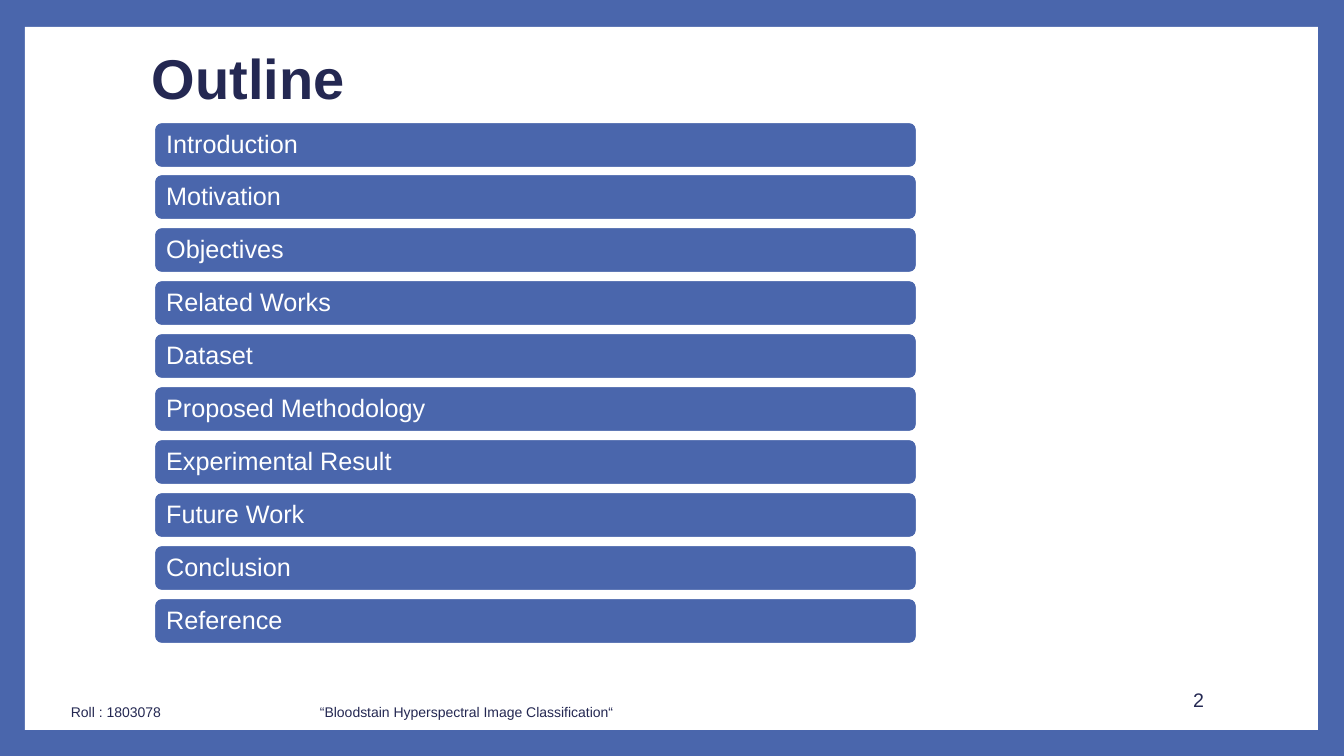
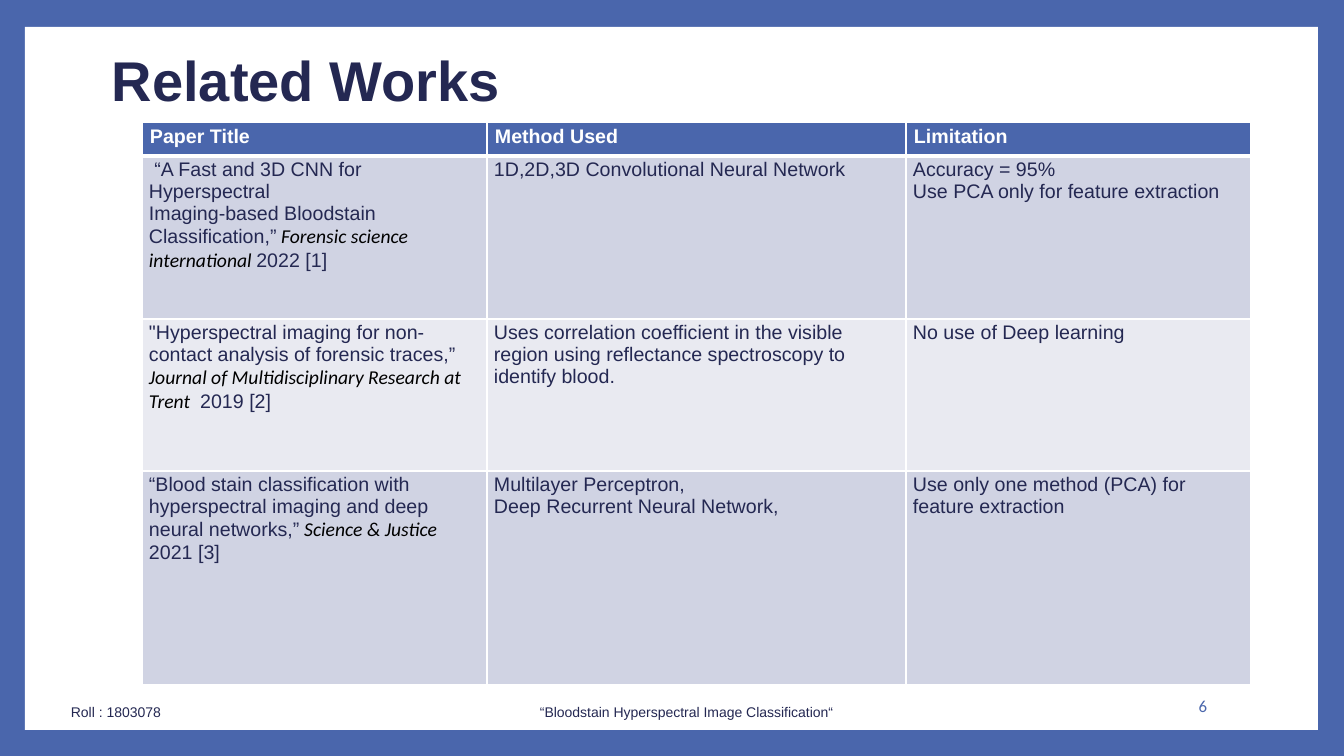
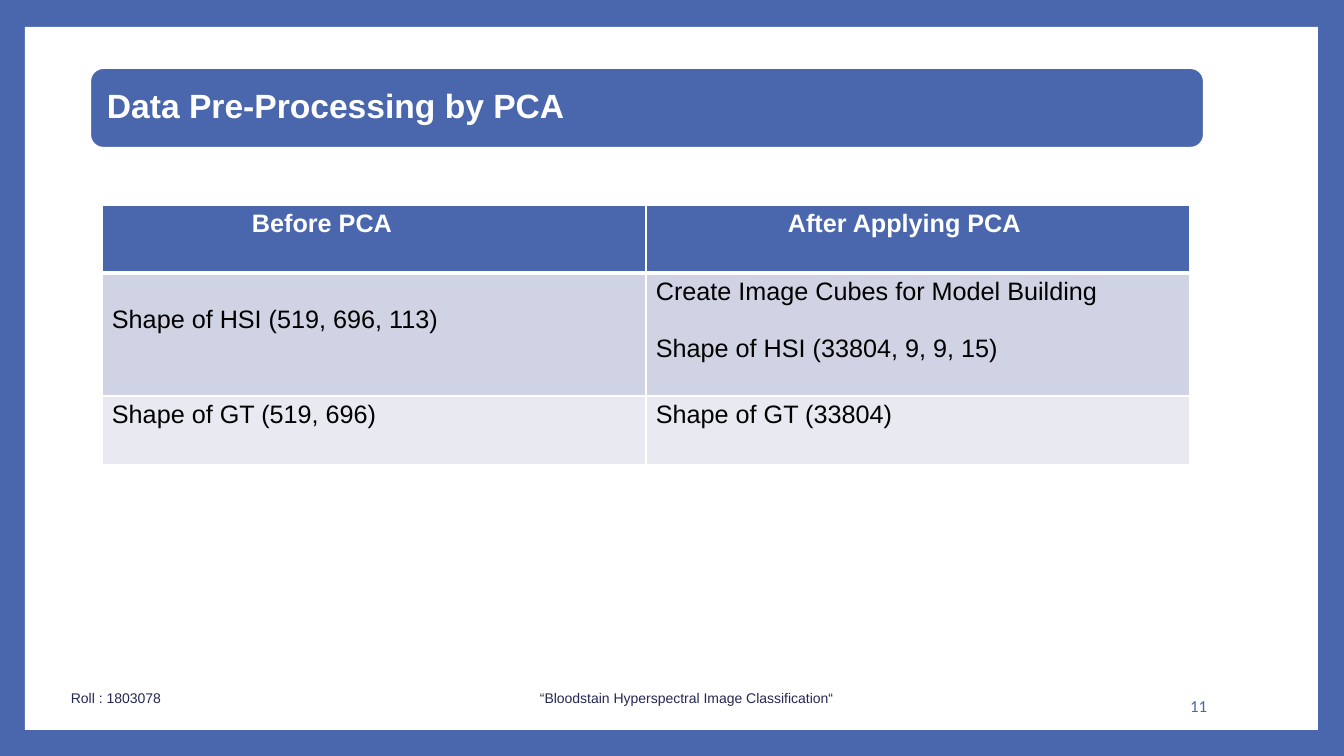
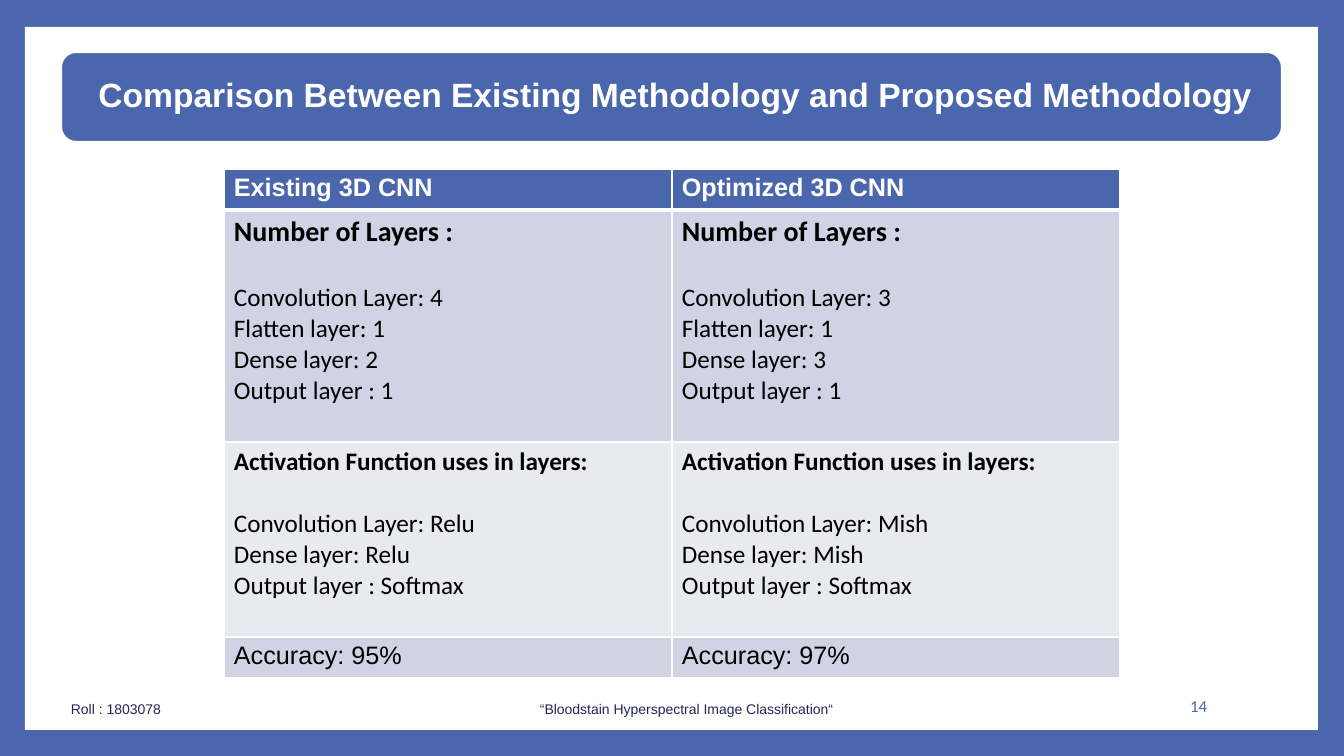
from dataclasses import dataclass

from lxml import etree
from pptx import Presentation
from pptx.dml.color import RGBColor
from pptx.enum.shapes import MSO_SHAPE
from pptx.enum.text import MSO_ANCHOR, PP_ALIGN
from pptx.oxml.ns import qn
from pptx.util import Emu, Pt

RECTANGLE = MSO_SHAPE.RECTANGLE
ROUNDED = MSO_SHAPE.ROUNDED_RECTANGLE
TOP, MIDDLE = MSO_ANCHOR.TOP, MSO_ANCHOR.MIDDLE
LEFT, RIGHT = PP_ALIGN.LEFT, PP_ALIGN.RIGHT

SLIDE_WIDTH, SLIDE_HEIGHT = 1344, 756
EMU_PER_PX = 12192000 / SLIDE_WIDTH


def px(length):
    return Emu(round(length * EMU_PER_PX))


@dataclass(frozen=True)
class TextStyle:
    size: int
    color: str
    font: str = "Arial"
    bold: bool = False
    italic: bool = False


@dataclass(frozen=True)
class Theme:
    accent: str = "4A66AC"
    white: str = "FFFFFF"
    bands: tuple = ("D0D3E3", "E9EAF1")
    title: TextStyle = TextStyle(40, "242852", bold=True)
    banner: TextStyle = TextStyle(24, "FFFFFF", bold=True)
    item: TextStyle = TextStyle(18, "FFFFFF")
    footer: TextStyle = TextStyle(10, "242852")
    number: TextStyle = TextStyle(12, "4A66AC", "Calibri")
    large_number: TextStyle = TextStyle(14, "242852")
    small_header: TextStyle = TextStyle(14, "FFFFFF", bold=True)
    small_body: TextStyle = TextStyle(14, "242852")
    journal: TextStyle = TextStyle(14, "000000", "Calibri", italic=True)
    header: TextStyle = TextStyle(18, "FFFFFF", bold=True)
    body: TextStyle = TextStyle(18, "000000")
    layer: TextStyle = TextStyle(18, "000000", "Calibri")
    layer_heading: TextStyle = TextStyle(18, "000000", "Calibri", bold=True)
    large_heading: TextStyle = TextStyle(20, "000000", "Calibri", bold=True)


@dataclass
class Line:
    runs: list
    space_after: int = 0


@dataclass
class Cell:
    lines: list
    left: int = 0
    top: int = 0


THEME = Theme()


class Deck:
    def __init__(self, theme):
        self.theme = theme
        self.presentation = Presentation()
        self.presentation.slide_width = px(SLIDE_WIDTH)
        self.presentation.slide_height = px(SLIDE_HEIGHT)
        self.slide = None

    def start_slide(self):
        self.slide = self.presentation.slides.add_slide(self.presentation.slide_layouts[6])
        self.paint(self.slide.background.fill, self.theme.accent)
        self.box(RECTANGLE, 25, 27, 1293, 703, self.theme.white)

    def paint(self, fill, color):
        fill.solid()
        fill.fore_color.rgb = RGBColor.from_string(color)

    def format_run(self, run, style):
        font = run.font
        font.size = Pt(style.size)
        font.name = style.font
        font.bold = style.bold
        font.italic = style.italic
        font.color.rgb = RGBColor.from_string(style.color)

    def set_text(self, text_frame, text, style, align=LEFT, anchor=MIDDLE, spacing=0.9):
        text_frame.word_wrap = True
        text_frame.vertical_anchor = anchor
        text_frame.text = text
        paragraph = text_frame.paragraphs[0]
        paragraph.alignment = align
        paragraph.line_spacing = spacing
        self.format_run(paragraph.runs[0], style)

    def box(self, kind, left, top, width, height, color):
        shape = self.slide.shapes.add_shape(kind, px(left), px(top), px(width), px(height))
        shape.shadow.inherit = False
        self.paint(shape.fill, color)
        shape.line.fill.background()
        return shape

    def text(self, left, top, width, height, text, style, **layout):
        shape = self.slide.shapes.add_textbox(px(left), px(top), px(width), px(height))
        self.set_text(shape.text_frame, text, style, **layout)

    def title(self, left, top, width, height, text):
        self.text(left, top, width, height, text, self.theme.title)

    def banner(self, left, top, width, height, text, style, inset):
        shape = self.box(ROUNDED, left, top, width, height, self.theme.accent)
        shape.line.color.rgb = RGBColor.from_string(self.theme.white)
        shape.line.width = Pt(1.5)
        text_frame = shape.text_frame
        text_frame.margin_left = px(inset)
        text_frame.margin_top = text_frame.margin_bottom = px(5)
        self.set_text(text_frame, text, style)

    def footer(self, top=700, topic_left=530):
        for left, width, text in (
            (61, 200, "Roll : 1803078"),
            (topic_left, 400, "“Bloodstain Hyperspectral Image Classification“"),
        ):
            self.text(left, top, width, 30, text, self.theme.footer, anchor=TOP)

    def page_number(self, number, style=None, right=1217, top=686):
        style = style or self.theme.number
        self.text(right - 108, top, 108, 40, str(number), style, align=RIGHT, spacing=1)

    def border(self, cell, side, width):
        properties = cell._tc.get_or_add_tcPr()
        line = etree.SubElement(properties, qn(f"a:ln{side}"), w=str(Pt(width)))
        fill = etree.SubElement(line, qn("a:solidFill"))
        etree.SubElement(fill, qn("a:srgbClr"), val=self.theme.white)

    def fill_cell(self, cell, content, style, insets):
        if isinstance(content, str):
            content = Cell([content])
        side_inset, end_inset = insets
        cell.margin_left = px(content.left or side_inset)
        cell.margin_right = px(side_inset)
        cell.margin_top = px(content.top or end_inset)
        cell.margin_bottom = px(end_inset)
        text_frame = cell.text_frame
        for index, line in enumerate(content.lines):
            if isinstance(line, str):
                line = Line([(line, style)])
            paragraph = text_frame.add_paragraph() if index else text_frame.paragraphs[0]
            paragraph.space_after = Pt(line.space_after)
            for text, run_style in line.runs:
                run = paragraph.add_run()
                run.text = text
                self.format_run(run, run_style)

    def table(self, left, top, widths, heights, rows, header, body, insets=((10, 5), (10, 5))):
        table = self.slide.shapes.add_table(
            len(rows), len(widths), px(left), px(top), px(sum(widths)), px(sum(heights))
        ).table
        table.horz_banding = False
        for column, width in zip(table.columns, widths):
            column.width = px(width)
        for row_index, contents in enumerate(rows):
            table.rows[row_index].height = px(heights[row_index])
            is_header = row_index == 0
            style = header if is_header else body
            cell_insets = insets[0 if is_header else 1]
            color = self.theme.accent if is_header else self.theme.bands[(row_index - 1) % 2]
            for column_index, content in enumerate(contents):
                cell = table.cell(row_index, column_index)
                for side in "LRTB":
                    thick = (side, row_index) in (("B", 0), ("T", 1))
                    self.border(cell, side, 3 if thick else 1)
                self.paint(cell.fill, color)
                self.fill_cell(cell, content, style, cell_insets)


def outline_slide(deck):
    deck.start_slide()
    deck.title(142, 22, 263, 118, "Outline")
    topics = (
        "Introduction", "Motivation", "Objectives", "Related Works", "Dataset",
        "Proposed Methodology", "Experimental Result", "Future Work", "Conclusion", "Reference",
    )
    first_top, last_top = 122, 598
    for index, topic in enumerate(topics):
        top = first_top + (last_top - first_top) * index // (len(topics) - 1)
        deck.banner(154, top, 763, 46, topic, THEME.item, 10)
    deck.page_number(2, THEME.large_number, right=1214, top=680)
    deck.footer(topic_left=310)


def related_works_slide(deck):
    plain, journal = THEME.small_body, THEME.journal
    deck.start_slide()
    deck.page_number(6)
    rows = [
        ["Paper Title", "Method Used", "Limitation"],
        [
            Cell([
                " “A Fast and 3D CNN for Hyperspectral",
                Line([
                    ("Imaging-based Bloodstain Classification,”", plain),
                    (" Forensic science international ", journal),
                    ("2022 [1]", plain),
                ]),
            ]),
            "1D,2D,3D Convolutional Neural Network",
            Cell(["Accuracy = 95%", "Use PCA only for feature extraction"]),
        ],
        [
            Cell([Line([
                ("\"Hyperspectral imaging for non-contact analysis of forensic traces,” ", plain),
                ("Journal of Multidisciplinary Research at Trent ", journal),
                (" 2019 [2]", plain),
            ])]),
            "Uses correlation coefficient in the visible region using reflectance "
            "spectroscopy to identify blood.",
            "No use of Deep learning",
        ],
        [
            Cell([
                Line([
                    ("“Blood stain classification with hyperspectral imaging and deep "
                     "neural networks,”", plain),
                    (" Science & Justice", journal),
                ]),
                "2021 [3]",
            ]),
            Cell(["Multilayer Perceptron,", "Deep Recurrent Neural Network,"]),
            Cell(["Use only one method (PCA) for", "feature extraction"]),
        ],
    ]
    deck.table(142, 122, (345, 419, 345), (34, 163, 152, 214), rows,
               THEME.small_header, plain, insets=((8, 4), (7, 3)))
    deck.title(102, 9, 1089, 149, "Related Works")
    deck.footer()


def pre_processing_slide(deck):
    deck.start_slide()
    rows = [
        [Cell(["Before PCA"], left=150), Cell(["After Applying PCA"], left=142)],
        [
            Cell(["Shape of HSI (519, 696, 113)"], top=33),
            Cell([
                Line([("Create Image Cubes for Model Building", THEME.body)], space_after=20),
                "Shape of HSI (33804, 9, 9, 15)",
            ]),
        ],
        ["Shape of GT (519, 696)", "Shape of GT (33804)"],
    ]
    deck.table(102, 205, (544, 544), (68, 123, 69), rows, THEME.header, THEME.body)
    deck.page_number(11)
    deck.footer(top=686)
    deck.banner(90, 68, 1114, 80, "Data Pre-Processing by PCA", THEME.banner, 13)


def layer_cell(heading, style, space_after, names, values):
    lines = [Line([(heading, style)], space_after)]
    lines += [f"{name}: {value}" for name, value in zip(names, values)]
    return Cell(lines)


def comparison_slide(deck):
    deck.start_slide()
    deck.page_number(14)
    deck.banner(61, 52, 1221, 90,
                "Comparison Between Existing Methodology and Proposed Methodology",
                THEME.banner, 33)
    count_names = ("Convolution Layer", "Flatten layer", "Dense layer", "Output layer ")
    activation_names = ("Convolution Layer", "Dense layer", "Output layer ")
    rows = [
        ["Existing 3D CNN", "Optimized 3D CNN"],
        [
            layer_cell("Number of Layers :", THEME.large_heading, 24, count_names, counts)
            for counts in ((4, 1, 2, 1), (3, 1, 3, 1))
        ],
        [
            layer_cell("Activation Function uses in layers:", THEME.layer_heading, 22,
                       activation_names, (activation, activation, "Softmax"))
            for activation in ("Relu", "Mish")
        ],
        [Cell([Line([(f"Accuracy: {accuracy}%", THEME.body)])]) for accuracy in (95, 97)],
    ]
    deck.table(224, 169, (448, 448), (41, 232, 195, 41), rows, THEME.header, THEME.layer)
    deck.footer(top=697)


def main():
    deck = Deck(THEME)
    outline_slide(deck)
    related_works_slide(deck)
    pre_processing_slide(deck)
    comparison_slide(deck)
    deck.presentation.save("out.pptx")


if __name__ == "__main__":
    main()
